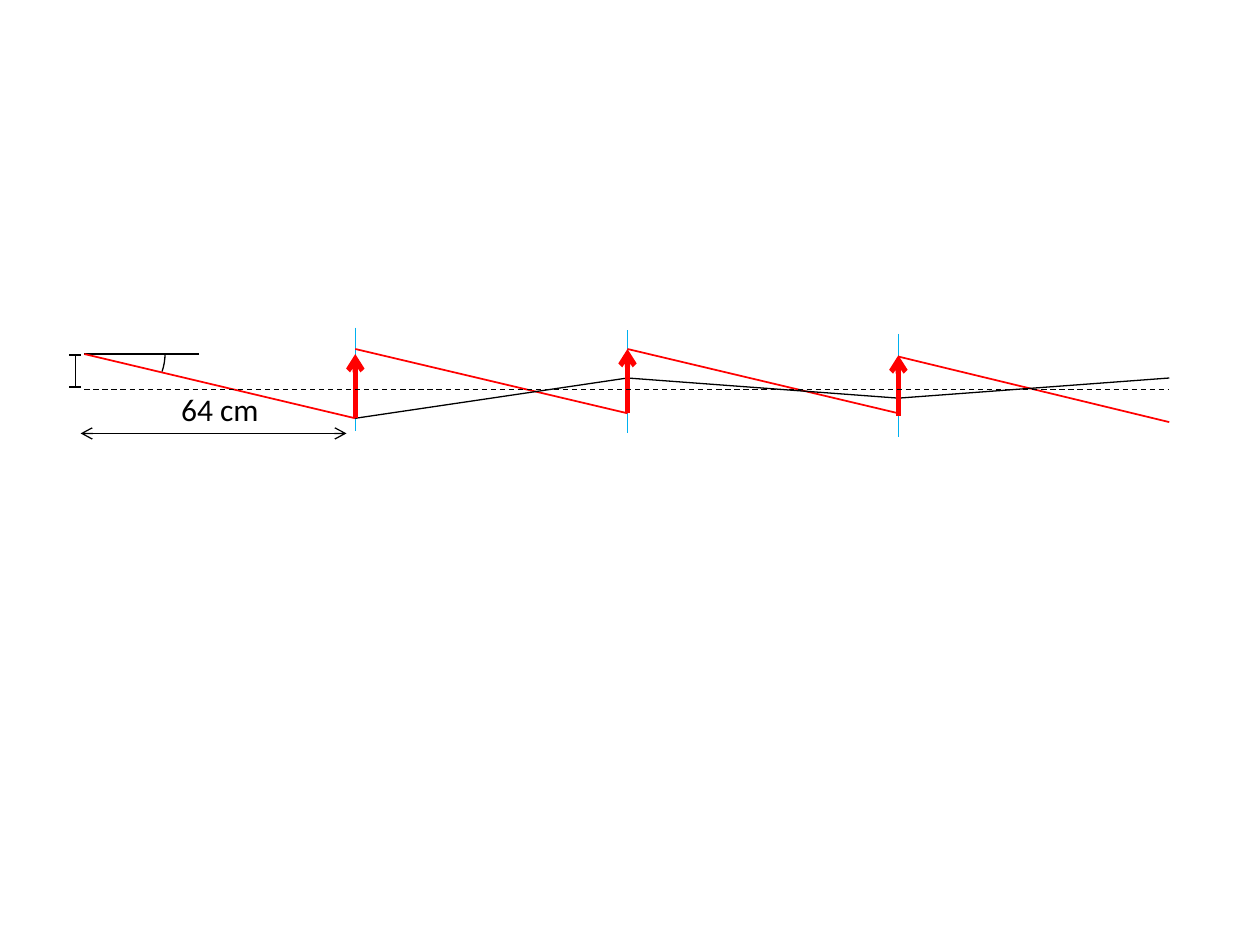
"""Draw a beam path through three deflecting elements spaced 64 cm apart."""
from dataclasses import dataclass

from lxml import etree
from pptx import Presentation
from pptx import util as u
from pptx.dml.color import RGBColor
from pptx.enum import dml, shapes, text
from pptx.oxml import ns


@dataclass(frozen=True)
class Theme:
    ink: RGBColor = RGBColor(0x00, 0x00, 0x00)
    beam: RGBColor = RGBColor(0xFF, 0x00, 0x00)
    element: RGBColor = RGBColor(0x00, 0xB0, 0xF0)
    font: str = "Calibri"
    label_size: float = 18
    thin: float = 0.75
    medium: float = 1
    thick: float = 3


@dataclass(frozen=True)
class Stroke:
    start: tuple[float, float]
    end: tuple[float, float]
    color: RGBColor
    width: float
    arrows: tuple[str, ...] = ()
    dashed: bool = False


THEME = Theme()
START, PITCH = 0.67, 2.153
STATIONS = [round(START + PITCH * step, 2) for step in range(5)]
AXIS = 3.09
BEAM_HEIGHTS = [(2.81, 3.32), (2.77, 3.28), (2.77, 3.28), (2.83, 3.35)]
ORBIT_HEIGHTS = [3.32, 3.0, 3.16, 3.0]
ELEMENT_TOPS = [2.6, 2.62, 2.65]
ELEMENT_HEIGHT = 0.82
KICKS = [(3.32, 2.81), (3.28, 2.77), (3.3, 2.82)]
OFFSET_X, OFFSET_ENDS = 0.6, (2.82, 3.07)


def draw_stroke(page, stroke: Stroke) -> None:
    ends = [u.Inches(value) for value in (*stroke.start, *stroke.end)]
    line = page.shapes.add_connector(shapes.MSO_CONNECTOR.STRAIGHT, *ends)
    line.line.color.rgb = stroke.color
    line.line.width = u.Pt(stroke.width)
    if stroke.dashed:
        line.line.dash_style = dml.MSO_LINE.DASH
    properties = line._element.spPr
    outline = properties.find(ns.qn("a:ln"))
    for arrow in stroke.arrows:
        etree.SubElement(outline, ns.qn(f"a:{arrow}"), type="arrow")
    etree.SubElement(properties, ns.qn("a:effectLst"))


def draw_angle(page) -> None:
    frame = [u.Inches(value) for value in (0.42, 2.36, 0.89, 0.89)]
    arc = page.shapes.add_shape(shapes.MSO_SHAPE.ARC, *frame)
    arc.adjustments[0], arc.adjustments[1] = 215.774, 11.293
    arc.shadow.inherit = False
    arc.fill.background()
    arc.line.color.rgb = THEME.ink
    arc.line.width = u.Pt(THEME.thin)


def draw_label(page, words: str) -> None:
    frame = [u.Inches(value) for value in (START, 3.05, 2.15, 0.4)]
    box = page.shapes.add_textbox(*frame)
    box.text_frame.word_wrap = True
    box.text_frame.auto_size = text.MSO_AUTO_SIZE.SHAPE_TO_FIT_TEXT
    para = box.text_frame.paragraphs[0]
    para.text = words
    para.alignment = text.PP_ALIGN.CENTER
    para.font.name = THEME.font
    para.font.size = u.Pt(THEME.label_size)
    para.font.color.rgb = THEME.ink


def build_strokes() -> list[Stroke]:
    ink, thin = THEME.ink, THEME.thin
    spans = list(zip(STATIONS, STATIONS[1:]))
    elements = STATIONS[1:4]
    orbit = list(zip(STATIONS[1:], ORBIT_HEIGHTS))
    return [
        Stroke((1.58, 2.81), (START, 2.81), ink, thin),
        *(Stroke((x, top), (x, top + ELEMENT_HEIGHT), THEME.element, thin)
          for x, top in zip(elements, ELEMENT_TOPS)),
        *(Stroke((left, top), (right, bottom), THEME.beam, THEME.medium)
          for (left, right), (top, bottom) in zip(spans, BEAM_HEIGHTS)),
        *(Stroke(start, end, ink, thin) for start, end in zip(orbit, orbit[1:])),
        *(Stroke((x, foot), (x, tip), THEME.beam, THEME.thick, ("tailEnd",))
          for x, (foot, tip) in zip(elements, KICKS)),
        Stroke((START, AXIS), (STATIONS[-1], AXIS), ink, thin, dashed=True),
        Stroke(*((OFFSET_X, y) for y in OFFSET_ENDS), ink, THEME.medium),
        *(Stroke((0.64, y), (0.55, y), ink, THEME.medium) for y in OFFSET_ENDS),
        Stroke((0.64, 3.44), (2.75, 3.44), ink, thin, ("headEnd", "tailEnd")),
    ]


def main() -> None:
    deck = Presentation()
    deck.slide_width, deck.slide_height = u.Inches(10), u.Inches(7.5)
    page = deck.slides.add_slide(deck.slide_layouts[6])
    for stroke in build_strokes():
        draw_stroke(page, stroke)
    draw_angle(page)
    draw_label(page, "64 cm")
    deck.save("out.pptx")


if __name__ == "__main__":
    main()
